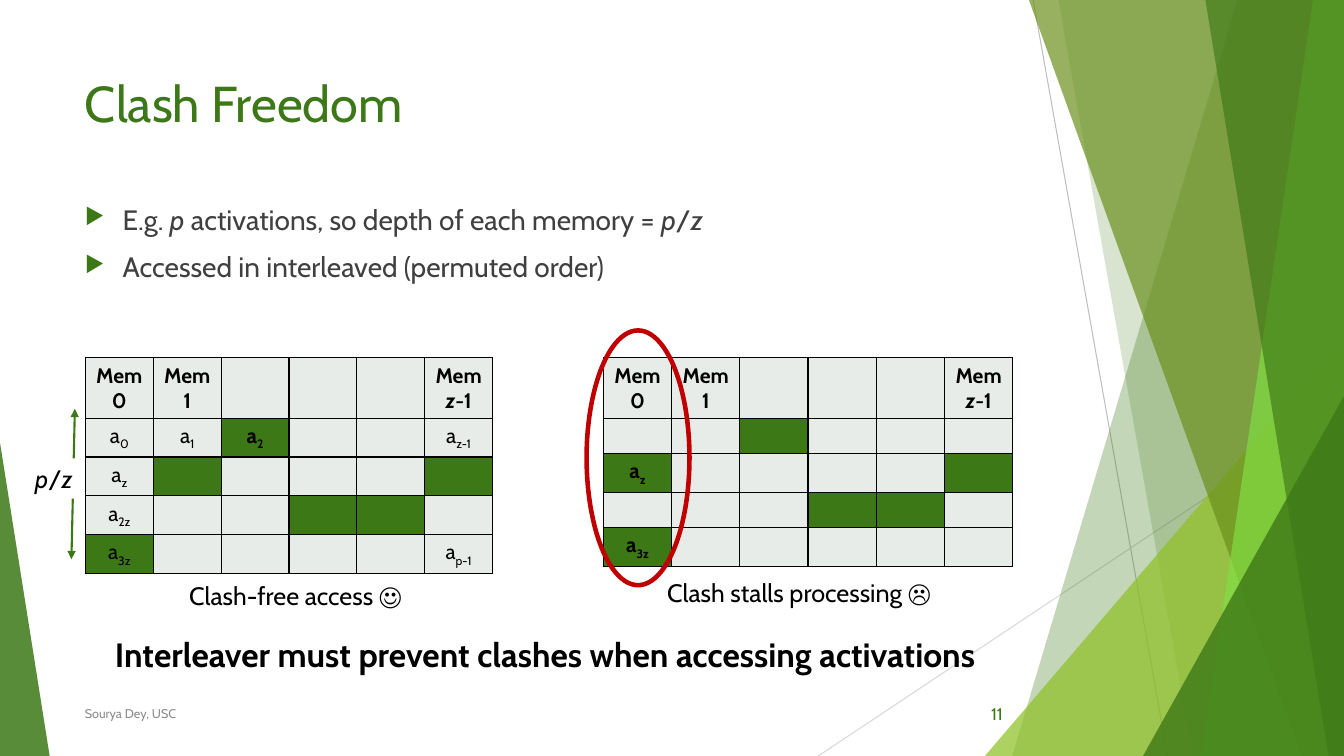
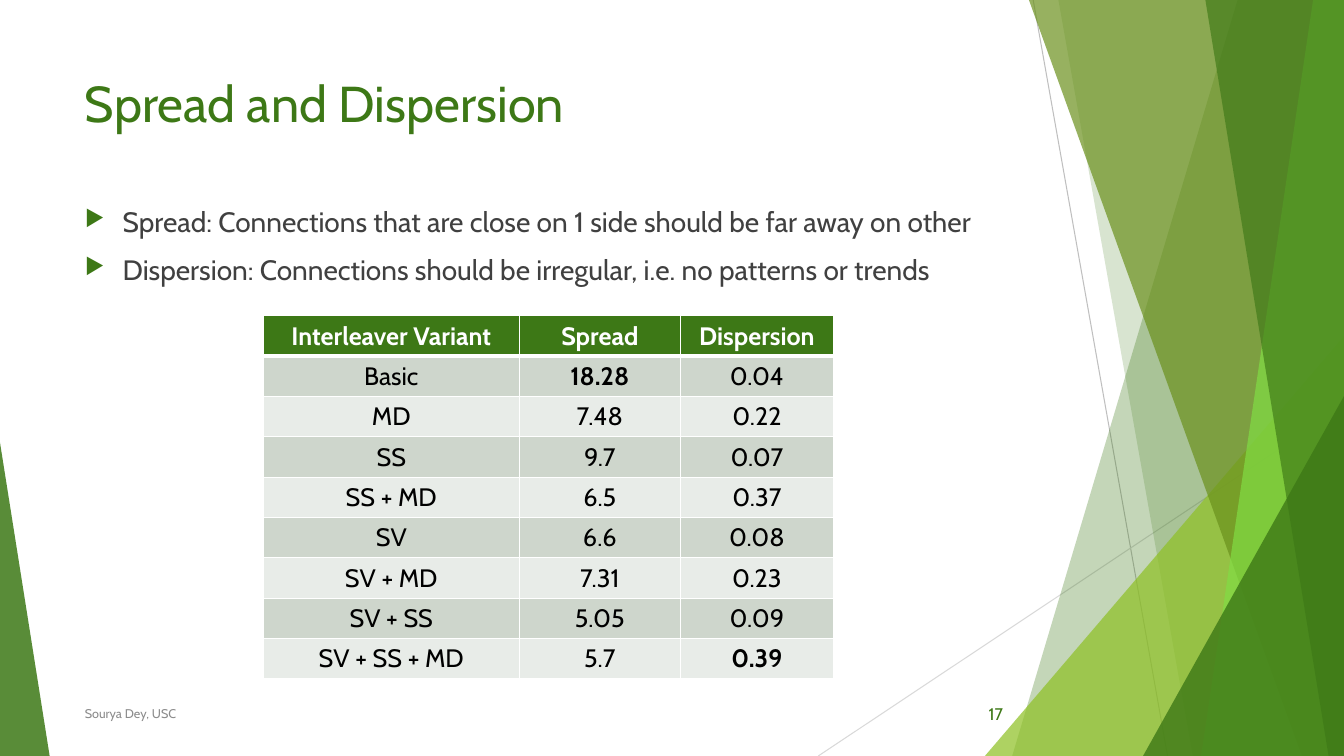
from dataclasses import dataclass

from lxml import etree
from pptx import Presentation
from pptx import util as u
from pptx.dml.color import RGBColor
from pptx.enum import shapes, text
from pptx.oxml.ns import qn


@dataclass(frozen=True)
class Theme:
    font: str = "Cabin"
    green: str = "3D7816"
    olive: str = "6B911D"
    lime: str = "8FC126"
    bright: str = "81DD44"
    body: str = "404040"
    muted: str = "8C8C8C"
    black: str = "000000"
    white: str = "FFFFFF"
    alert: str = "C00000"
    pale: str = "E8ECE8"
    band: str = "CED6CC"
    ray_dark: str = "BFBFBF"
    ray_light: str = "D9D9D9"
    title_size: float = 36
    takeaway_size: float = 24
    bullet_size: float = 20
    label_size: float = 18
    memory_size: float = 15
    page_size: float = 12
    footer_size: float = 9


T = Theme()
SLIDE_W, SLIDE_H = 960, 540
LEFT = 53.5
ALIGN = text.PP_ALIGN
ANCHOR = text.MSO_ANCHOR


def pts(*values):
    return [u.Pt(value) for value in values]


def rgb(value):
    return RGBColor.from_string(value)


def add_xml(parent, tag, **attributes):
    return etree.SubElement(parent, qn(tag), attributes)


def write(paragraph, content, size, color, bold=False, align=ALIGN.LEFT):
    """Write a string or (text, style) runs; style letters are b, i and s (subscript)."""
    paragraph.alignment = align
    font = paragraph.font
    font.name, font.size, font.bold = T.font, u.Pt(size), bold
    font.color.rgb = rgb(color)
    for words, style in [(content, "")] if isinstance(content, str) else content:
        run = paragraph.add_run()
        run.text = words
        if "b" in style:
            run.font.bold = True
        if "i" in style:
            run.font.italic = True
        if "s" in style:
            run._r.get_or_add_rPr().set("baseline", "-25000")


def add_label(slide, box, content, size, color=T.black, anchor=ANCHOR.TOP, wrap=True, **style):
    label = slide.shapes.add_textbox(*pts(*box))
    frame = label.text_frame
    frame.word_wrap, frame.vertical_anchor = wrap, anchor
    if not wrap:
        frame.auto_size = text.MSO_AUTO_SIZE.SHAPE_TO_FIT_TEXT
    write(frame.paragraphs[0], content, size, color, **style)
    return label


def add_line(parts, start, end, color, width):
    line = parts.add_connector(shapes.MSO_CONNECTOR.STRAIGHT, *pts(*start, *end))
    line.line.color.rgb, line.line.width = rgb(color), u.Pt(width)
    add_xml(line._element.spPr, "a:effectLst")
    return line


def tint(facet, color, opacity):
    facet.shadow.inherit = False
    facet.line.fill.background()
    facet.fill.solid()
    facet.fill.fore_color.rgb = rgb(color)
    for fill_color in facet._element.spPr.iter(qn("a:srgbClr")):
        add_xml(fill_color, "a:alpha", val=str(opacity * 1000))


def add_band(parts, top_x, bottom_x, color, opacity):
    """Fill from a slanted left edge to the right side of the slide."""
    outline = parts.build_freeform(top_x, 0, scale=u.Pt(1))
    outline.add_line_segments([(SLIDE_W, 0), (SLIDE_W, SLIDE_H), (bottom_x, SLIDE_H)])
    tint(outline.convert_to_shape(), color, opacity)


def add_corner(parts, left, top, width, apex, color, opacity):
    """Stand a right triangle on the bottom edge of the slide."""
    corner = parts.add_shape(shapes.MSO_SHAPE.ISOSCELES_TRIANGLE,
                             *pts(left, top, width, SLIDE_H - top))
    corner.adjustments[0] = apex
    tint(corner, color, opacity)


def add_facets(slide):
    """Draw the faceted sides once and hand them to the slide's layout."""
    group = slide.shapes.add_group_shape()
    parts = group.shapes
    add_line(parts, (738, 0), (834, SLIDE_H), T.ray_dark, 0.75)
    add_line(parts, (SLIDE_W, 290), (584.5, SLIDE_H), T.ray_light, 0.75)
    add_band(parts, 884, 723, T.green, 30)
    add_band(parts, 756, 852, T.green, 20)
    add_corner(parts, 703.5, 240, 256.5, 1, T.lime, 72)
    add_band(parts, 735, 929.5, T.olive, 70)
    add_band(parts, 938, 858, T.bright, 70)
    add_band(parts, 861, 949, T.green, 65)
    add_corner(parts, 816.5, 283, 143.5, 1, T.green, 80)
    add_corner(parts, 0, 316, 35.5, 0, T.green, 85)
    slide.slide_layout.shapes._spTree.append(group._element)


def add_bullets(slide, box, items):
    frame = slide.shapes.add_textbox(*pts(*box)).text_frame
    frame.word_wrap = True
    for index, item in enumerate(items):
        paragraph = frame.add_paragraph() if index else frame.paragraphs[0]
        properties = paragraph._p.get_or_add_pPr()
        properties.set("marL", str(u.Pt(27)))
        properties.set("indent", str(-u.Pt(27)))
        add_xml(add_xml(properties, "a:buClr"), "a:srgbClr", val=T.green)
        add_xml(properties, "a:buSzPct", val="80000")
        add_xml(properties, "a:buChar", char="▶")
        paragraph.space_before = u.Pt(10)
        write(paragraph, item, T.bullet_size, T.body)


def add_content_slide(deck, title, page, bullets, bullet_box):
    slide = deck.slides.add_slide(deck.slide_layouts[5])
    heading = slide.shapes.title
    heading.left, heading.top, heading.width, heading.height = pts(LEFT, 48, 677, 104)
    frame = heading.text_frame
    frame.word_wrap, frame.vertical_anchor = True, ANCHOR.TOP
    frame.auto_size = text.MSO_AUTO_SIZE.NONE
    write(frame.paragraphs[0], title, T.title_size, T.green)
    add_bullets(slide, bullet_box, bullets)
    add_label(slide, (LEFT, 495.5, 496, 28.8), "Sourya Dey, USC", T.footer_size, T.muted,
              ANCHOR.MIDDLE)
    add_label(slide, (669.5, 495.5, 54, 28.8), page, T.page_size, T.green,
              ANCHOR.MIDDLE, align=ALIGN.RIGHT)
    return slide


def add_grid(slide, origin, widths, heights):
    """Add a table without the built-in banding."""
    frame = slide.shapes.add_table(len(heights), len(widths),
                                   *pts(*origin, sum(widths), sum(heights)))
    grid = frame.table
    grid.first_row = grid.horz_banding = False
    for column, width in zip(grid.columns, widths):
        column.width = u.Pt(width)
    for row, height in zip(grid.rows, heights):
        row.height = u.Pt(height)
    return grid


def format_cell(cell, fill, border, bottom=1, top=1):
    properties = cell._tc.get_or_add_tcPr()
    for side, width in (("L", 1), ("R", 1), ("T", top), ("B", bottom)):
        edge = add_xml(properties, f"a:ln{side}", w=str(u.Pt(width)))
        add_xml(add_xml(edge, "a:solidFill"), "a:srgbClr", val=border)
    cell.fill.solid()
    cell.fill.fore_color.rgb = rgb(fill)


def activation(index, weight=""):
    return [("a", weight), (index, weight + "s")]


def add_memory_table(slide, origin, column_width, activations, accessed):
    """Show the memories as columns; accessed cells are green."""
    last = 5
    contents = {(0, 0): "Mem 0", (0, 1): "Mem 1",
                (0, last): [("Mem ", ""), ("z", "i"), ("-1", "")], **activations}
    heights = [43.2] + [25.2] * 4
    grid = add_grid(slide, origin, [column_width] * (last + 1), heights)
    for row in range(len(heights)):
        for column in range(last + 1):
            place = row, column
            cell = grid.cell(row, column)
            format_cell(cell, T.green if place in accessed else T.pale, T.black)
            write(cell.text_frame.paragraphs[0], contents.get(place, []), T.memory_size,
                  T.black, bold=row == 0, align=ALIGN.CENTER)


def add_depth_mark(slide, left, top):
    """Span the depth of the memories with a labelled double arrow."""
    arrow = add_line(slide.shapes, (left + 35.5, top), (left + 33, top + 107.5), T.green, 1.5)
    outline = arrow.line._get_or_add_ln()
    for end in ("a:headEnd", "a:tailEnd"):
        add_xml(outline, end, type="triangle")
    depth = add_label(slide, (left, top + 35.5, 42.5, 28.8),
                      [("p", "i"), ("/", ""), ("z", "i")], T.label_size, wrap=False)
    depth.fill.solid()
    depth.fill.fore_color.rgb = rgb(T.white)


def add_clash_ring(slide, box):
    ring = slide.shapes.add_shape(shapes.MSO_SHAPE.OVAL, *pts(*box))
    ring.shadow.inherit = False
    ring.fill.background()
    ring.line.color.rgb, ring.line.width = rgb(T.alert), u.Pt(3.25)


def add_variant_table(slide, origin, rows, best):
    """Compare the variants; best holds the values to set in bold."""
    grid = add_grid(slide, origin, [183, 115, 109.5], [28.8] * len(rows))
    for row, values in enumerate(rows):
        header = row == 0
        fill = T.green if header else T.band if row % 2 else T.pale
        for column, value in enumerate(values):
            cell = grid.cell(row, column)
            format_cell(cell, fill, T.white, bottom=3 if header else 1,
                        top=3 if row == 1 else 1)
            write(cell.text_frame.paragraphs[0], value, T.label_size,
                  T.white if header else T.black, bold=header or value in best,
                  align=ALIGN.CENTER)


def build_clash_freedom(deck):
    slide = add_content_slide(
        deck, "Clash Freedom", "11",
        [[("E.g. ", ""), ("p", "i"), (" activations, so depth of each memory = ", ""),
          ("p", "i"), ("/", ""), ("z", "i")],
         "Accessed in interleaved (permuted order)"],
        (LEFT, 141, 677, 72))
    shared = {(1, 2), (2, 5), (3, 3), (3, 4), (4, 0)}
    table_top = 255.5
    add_memory_table(
        slide, (61, table_top), 48.5,
        {(1, 0): activation("0"), (1, 1): activation("1"), (1, 2): activation("2", "b"),
         (1, 5): activation("z-1"), (2, 0): activation("z"), (3, 0): activation("2z"),
         (4, 0): activation("3z"), (4, 5): activation("p-1")},
        shared | {(2, 1)})
    add_memory_table(
        slide, (431, table_top), 48.75,
        {(2, 0): activation("z", "b"), (4, 0): activation("3z", "b")},
        shared | {(2, 0)})
    add_label(slide, (469.5, 408.5, 216, 28.8), "Clash stalls processing ☹",
              T.label_size, wrap=False)
    add_clash_ring(slide, (419, 236, 73.5, 182))
    add_label(slide, (128, 411, 181, 28.8), "Clash-free access ☺", T.label_size, wrap=False)
    add_label(slide, (39, 449.5, 700.5, 36),
              "Interleaver must prevent clashes when accessing activations",
              T.takeaway_size, wrap=False, bold=True, align=ALIGN.CENTER)
    add_depth_mark(slide, 18, 292)
    return slide


def build_spread_and_dispersion(deck):
    slide = add_content_slide(
        deck, "Spread and Dispersion", "17",
        ["Spread: Connections that are close on 1 side should be far away on other",
         "Dispersion: Connections should be irregular, i.e. no patterns or trends"],
        (LEFT, 142.5, 704, 73.5))
    add_variant_table(slide, (188, 225.5), [
        ("Interleaver Variant", "Spread", "Dispersion"),
        ("Basic", "18.28", "0.04"),
        ("MD", "7.48", "0.22"),
        ("SS", "9.7", "0.07"),
        ("SS + MD", "6.5", "0.37"),
        ("SV", "6.6", "0.08"),
        ("SV + MD", "7.31", "0.23"),
        ("SV + SS", "5.05", "0.09"),
        ("SV + SS + MD", "5.7", "0.39"),
    ], best={"18.28", "0.39"})


def main():
    deck = Presentation()
    deck.slide_width, deck.slide_height = pts(SLIDE_W, SLIDE_H)
    add_facets(build_clash_freedom(deck))
    build_spread_and_dispersion(deck)
    deck.save("out.pptx")


if __name__ == "__main__":
    main()
